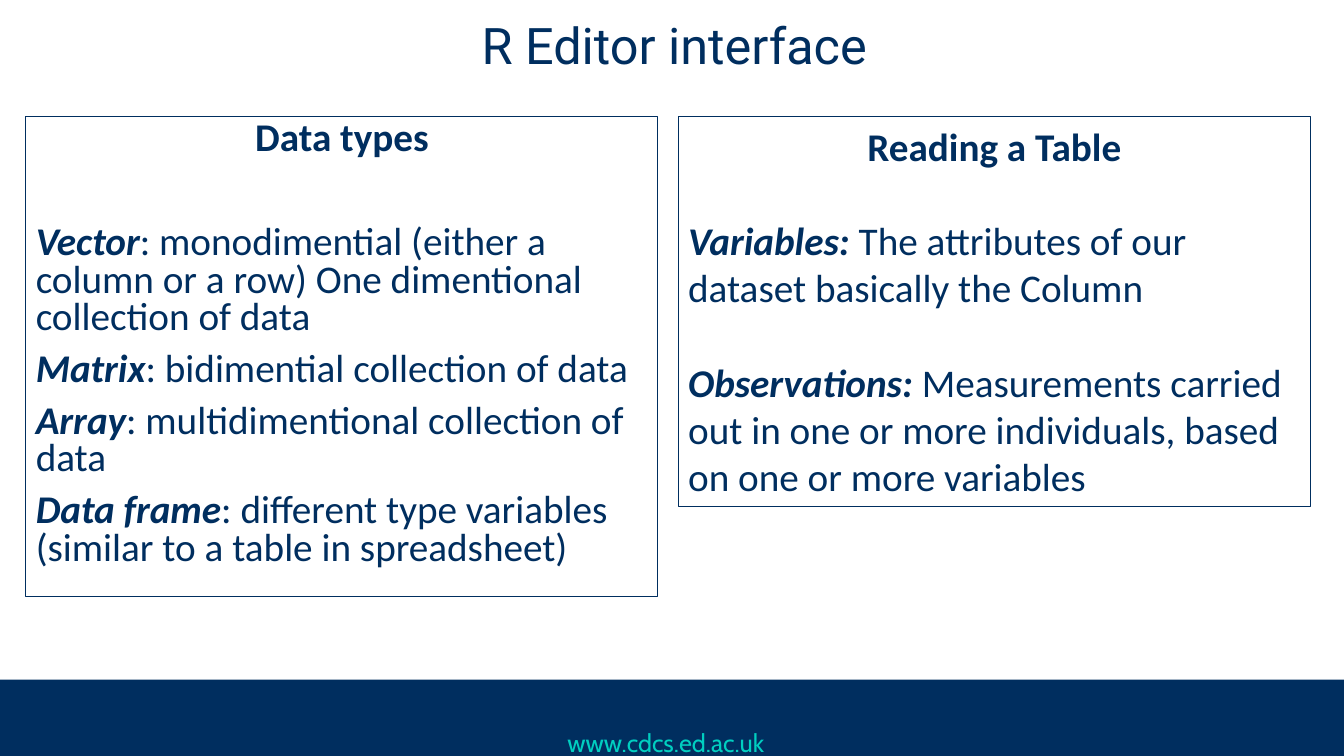
from dataclasses import dataclass

from pptx import Presentation
from pptx.dml.color import RGBColor
from pptx.enum.shapes import MSO_SHAPE as Shape
from pptx.enum.text import MSO_ANCHOR as Anchor, PP_ALIGN as Align
from pptx.util import Pt


@dataclass(frozen=True)
class Theme:
    navy: RGBColor = RGBColor(0x00, 0x2E, 0x5F)
    teal: RGBColor = RGBColor(0x00, 0xCE, 0xC0)
    title_size: float = 36
    body_size: float = 28
    link_size: float = 18
    title_font: str = "Roboto"
    body_font: str = "Calibri"
    link_font: str = "Cabin"


@dataclass(frozen=True)
class Area:
    left: float
    top: float
    width: float
    height: float

    def lengths(self) -> list:
        return [Pt(n) for n in (self.left, self.top, self.width, self.height)]


@dataclass(frozen=True)
class Entry:
    term: str
    meaning: str
    space_before: float


@dataclass(frozen=True)
class Panel:
    area: Area
    heading: str
    entries: tuple[Entry, ...]
    line_spacing: float


THEME = Theme()
PANEL_TOP, PANEL_WIDTH = 83.5, 451.5

PANELS = (
    Panel(
        Area(18.5, PANEL_TOP, PANEL_WIDTH, 342.7),
        "Data types",
        (
            Entry("Vector", ": monodimential (either a column or a row) "
                  "One dimentional collection of data", 47),
            Entry("Matrix", ": bidimential collection of data", 10),
            Entry("Array", ": multidimentional collection of data", 10),
            Entry("Data frame", ": different type variables "
                  "(similar to a table in spreadsheet)", 10),
        ),
        0.8,
    ),
    Panel(
        Area(484.5, PANEL_TOP, PANEL_WIDTH, 278.6),
        "Reading a Table",
        (
            Entry("Variables:", " The attributes of our dataset "
                  "basically the Column", 34),
            Entry("Observations:", " Measurements carried out in one or more "
                  "individuals, based on one or more variables", 34),
        ),
        1.0,
    ),
)


def add_span(para, text: str, **formats) -> None:
    span = para.add_run()
    span.text = text
    values = {"name": THEME.body_font, "size": Pt(THEME.body_size)} | formats
    color = values.pop("color", THEME.navy)
    for name, value in values.items():
        setattr(span.font, name, value)
    span.font.color.rgb = color


def add_label(page, area: Area, text: str, align: Align, **formats) -> None:
    box = page.shapes.add_textbox(*area.lengths())
    box.text_frame.word_wrap = True
    para = box.text_frame.paragraphs[0]
    para.alignment = align
    add_span(para, text, **formats)


def add_rectangle(page, area: Area):
    box = page.shapes.add_shape(Shape.RECTANGLE, *area.lengths())
    box.shadow.inherit = False
    return box


def add_panel(page, panel: Panel) -> None:
    box = add_rectangle(page, panel.area)
    box.fill.background()
    box.line.color.rgb = THEME.navy
    box.line.width = Pt(0.75)
    frame = box.text_frame
    frame.word_wrap = True
    frame.vertical_anchor = Anchor.TOP

    # Heading
    para = frame.paragraphs[0]
    para.alignment = Align.CENTER
    para.line_spacing = panel.line_spacing
    add_span(para, panel.heading, bold=True)

    # Terms and their meanings
    for entry in panel.entries:
        para = frame.add_paragraph()
        formats = {
            "alignment": Align.LEFT,
            "line_spacing": panel.line_spacing,
            "space_before": Pt(entry.space_before),
        }
        for name, value in formats.items():
            setattr(para, name, value)
        add_span(para, entry.term, bold=True, italic=True)
        add_span(para, entry.meaning)


def main() -> None:
    deck = Presentation()
    deck.slide_width, deck.slide_height = Pt(960), Pt(540)
    page = deck.slides.add_slide(deck.slide_layouts[6])

    # Title
    add_label(page, Area(204.5, 6.5, 554.4, 51), "R Editor interface", Align.CENTER,
              name=THEME.title_font, size=Pt(THEME.title_size))

    # Footer band and web address
    band = add_rectangle(page, Area(0, 485.5, 960, 72))
    band.fill.solid()
    band.fill.fore_color.rgb = THEME.navy
    band.line.fill.background()
    add_label(page, Area(398.2, 516.2, 163.4, 29), "www.cdcs.ed.ac.uk", Align.LEFT,
              name=THEME.link_font, size=Pt(THEME.link_size), color=THEME.teal)

    # Definition panels
    for panel in PANELS:
        add_panel(page, panel)

    deck.save("out.pptx")


if __name__ == "__main__":
    main()
